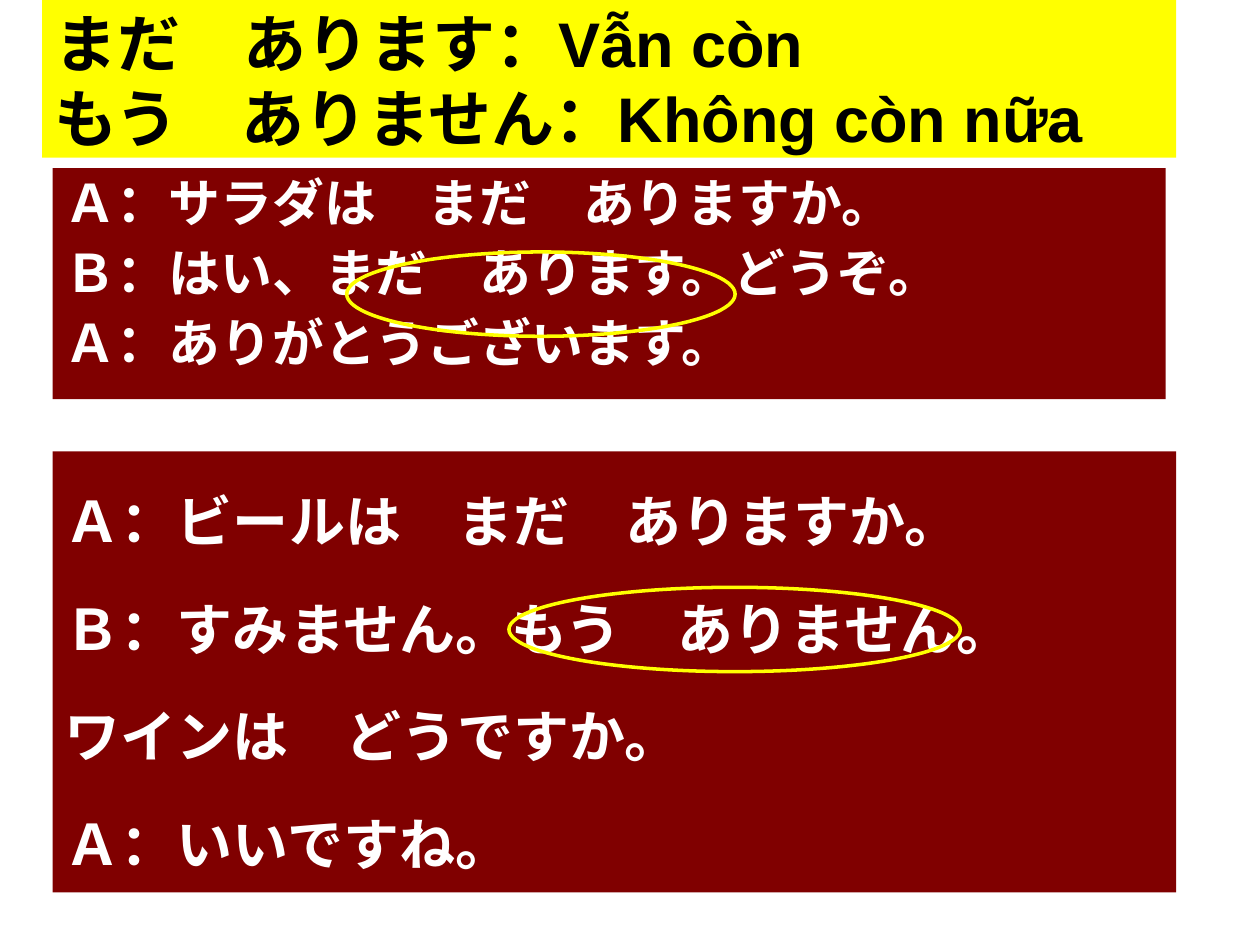
"""Build a Japanese grammar slide with a heading, two dialogues and ringed key phrases."""
from dataclasses import dataclass

from lxml.etree import SubElement
from pptx import Presentation
from pptx.dml.color import RGBColor
from pptx.enum.shapes import MSO_SHAPE
from pptx.enum.text import MSO_ANCHOR, PP_ALIGN
from pptx.oxml.ns import qn
from pptx.util import Cm, Pt

BLACK = RGBColor(0x00, 0x00, 0x00)
WHITE = RGBColor(0xFF, 0xFF, 0xFF)
YELLOW = RGBColor(0xFF, 0xFF, 0x00)
MAROON = RGBColor(0x80, 0x00, 0x00)
JAPANESE = "Noto Sans CJK JP"
LATIN = "Arial"


@dataclass(frozen=True)
class Box:
    left: float
    top: float
    width: float
    height: float


@dataclass(frozen=True)
class Dialogue:
    box: Box
    size: float
    line_height: float
    lines: tuple[str, ...]


HEADING_BOX = Box(0.85, 0, 22.86, 3.18)
HEADING = (
    ("まだ　あります：", "Vẫn còn"),
    ("もう　ありません：", "Không còn nữa"),
)
DIALOGUES = (
    Dialogue(Box(1.06, 3.39, 22.44, 4.66), 29.6, 32, (
        "Ａ：サラダは　まだ　ありますか。",
        "Ｂ：はい、まだ　あります。どうぞ。",
        "Ａ：ありがとうございます。",
    )),
    Dialogue(Box(1.06, 9.1, 22.65, 8.89), 32, 53.5, (
        "Ａ：ビールは　まだ　ありますか。",
        "Ｂ：すみません。もう　ありません。",
        "ワインは　どうですか。",
        "Ａ：いいですね。",
    )),
)
RINGS = (Box(6.99, 5.08, 7.83, 1.7), Box(10.26, 11.84, 9.1, 1.7))


def add_box(slide, kind: MSO_SHAPE, box: Box):
    """Add a preset shape without a shadow."""
    s = slide.shapes.add_shape(
        kind, Cm(box.left), Cm(box.top), Cm(box.width), Cm(box.height))
    s.shadow.inherit = False
    return s


def add_panel(slide, box: Box, fill: RGBColor, anchor: MSO_ANCHOR):
    """Add a filled rectangle and return its text frame."""
    s = add_box(slide, MSO_SHAPE.RECTANGLE, box)
    s.fill.solid()
    s.fill.fore_color.rgb = fill
    s.line.fill.background()
    tf = s.text_frame
    tf.word_wrap = True
    tf.vertical_anchor = anchor
    tf.margin_top = Cm(0.18)
    return tf


def format_run(r, size: float, color: RGBColor, font: str) -> None:
    """Set a bold face for both Latin and East Asian characters."""
    r.font.size = Pt(size)
    r.font.bold = True
    r.font.color.rgb = color
    r.font.name = font
    SubElement(r.font._element, qn("a:ea")).set("typeface", font)


def add_heading(slide) -> None:
    """Draw the phrases with their Vietnamese meanings."""
    tf = add_panel(slide, HEADING_BOX, YELLOW, MSO_ANCHOR.MIDDLE)
    p = tf.paragraphs[0]
    p.alignment = PP_ALIGN.LEFT
    p.line_spacing = Pt(43)
    for i, phrases in enumerate(HEADING):
        if i:
            p.add_line_break()
        for text, font in zip(phrases, (JAPANESE, LATIN)):
            r = p.add_run()
            r.text = text
            format_run(r, 36, BLACK, font)


def add_dialogue(slide, dialogue: Dialogue) -> None:
    """Draw one dialogue with hanging indents."""
    tf = add_panel(slide, dialogue.box, MAROON, MSO_ANCHOR.TOP)
    tf.text = "\n".join(dialogue.lines)
    for i, p in enumerate(tf.paragraphs):
        p.alignment = PP_ALIGN.LEFT
        p.line_spacing = Pt(dialogue.line_height)
        p.space_before = Pt(8 if i else 0)
        pPr = p._p.get_or_add_pPr()
        pPr.set("marL", str(Cm(0.95)))
        pPr.set("indent", str(Cm(-0.95)))
        format_run(p.runs[0], dialogue.size, WHITE, JAPANESE)


def add_ring(slide, box: Box) -> None:
    """Draw an outlined ellipse around a key phrase."""
    s = add_box(slide, MSO_SHAPE.OVAL, box)
    s.fill.background()
    s.line.color.rgb = YELLOW
    s.line.width = Pt(2)


def main() -> None:
    """Build and save the slide."""
    prs = Presentation()
    prs.slide_width, prs.slide_height = Cm(25.4), Cm(19.05)
    slide = prs.slides.add_slide(prs.slide_layouts[6])
    add_heading(slide)
    for dialogue in DIALOGUES:
        add_dialogue(slide, dialogue)
    for ring in RINGS:
        add_ring(slide, ring)
    prs.save("out.pptx")


if __name__ == "__main__":
    main()
